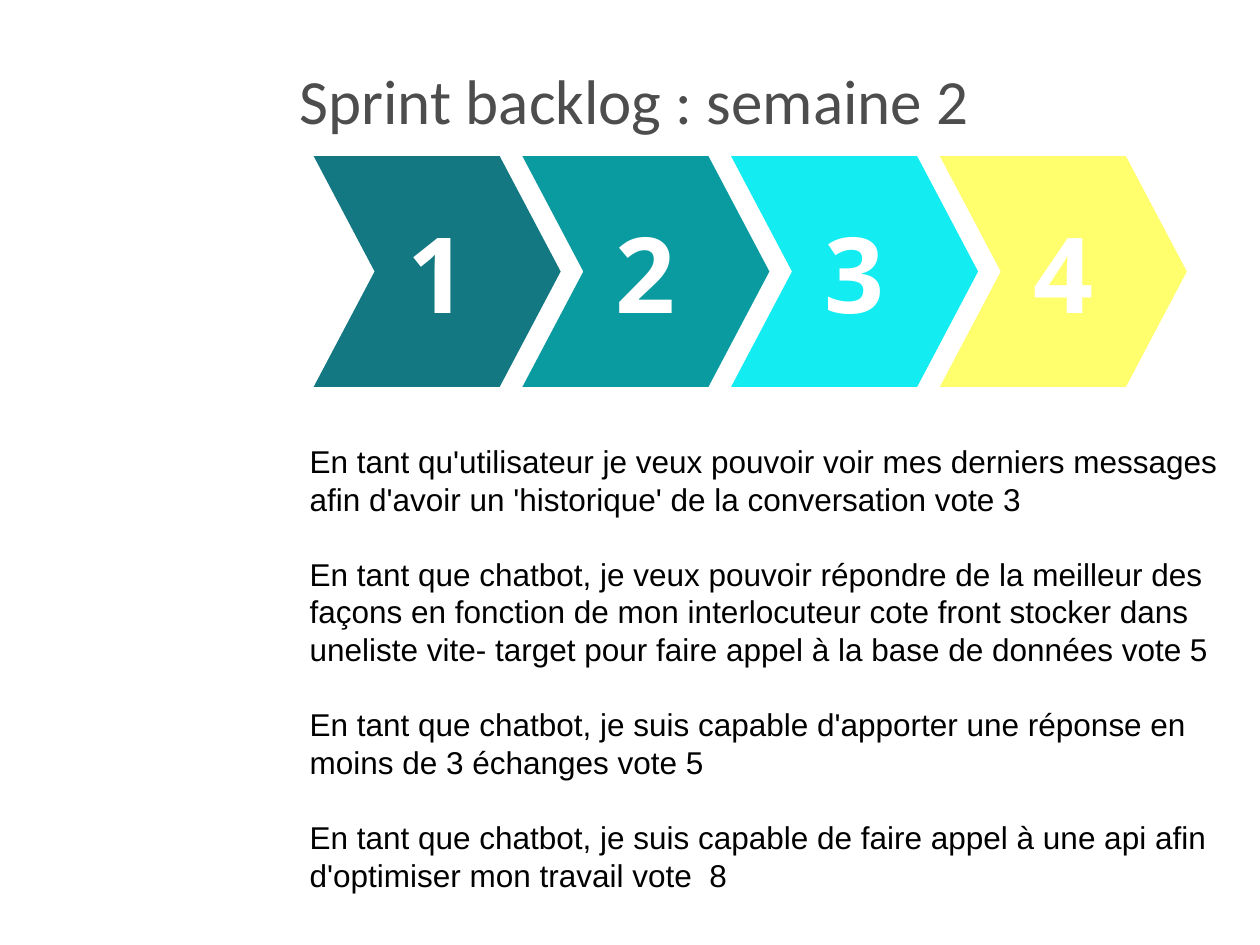
from pptx import Presentation
from pptx.dml.color import RGBColor
from pptx.enum.shapes import MSO_SHAPE as Shape
from pptx.enum.text import MSO_ANCHOR as Anchor, PP_ALIGN as Align
from pptx.util import Inches, Pt

STEP_COLORS = ["147882", "099B9F", "13ECF1", "FFFF6D"]
STORIES = [
    "En tant qu'utilisateur je veux pouvoir voir mes derniers messages afin d'avoir "
    "un 'historique' de la conversation vote 3",
    "En tant que chatbot, je veux pouvoir répondre de la meilleur des façons en fonction "
    "de mon interlocuteur cote front stocker dans uneliste vite- target pour faire appel "
    "à la base de données vote 5",
    "En tant que chatbot, je suis capable d'apporter une réponse en moins de 3 échanges vote 5",
    "En tant que chatbot, je suis capable de faire appel à une api afin d'optimiser "
    "mon travail vote  8",
]


def color(value):
    """Turn a hex string into a colour."""
    return RGBColor.from_string(value)


def style(para, name, size, value, bold=False):
    """Set the font of a paragraph."""
    font = para.font
    font.name, font.size, font.bold = name, Pt(size), bold
    font.color.rgb = color(value)


def add_title(page, left, top, width, height):
    """Place the slide title in the given box."""
    frame = page.shapes.add_textbox(
        Inches(left), Inches(top), Inches(width), Inches(height)).text_frame
    frame.word_wrap = True
    frame.vertical_anchor = Anchor.MIDDLE
    frame.text = "Sprint backlog : semaine 2"
    style(frame.paragraphs[0], "Calibri", 36, "4D4D4D")


def add_steps(page, left, top, width, height):
    """Spread the numbered chevrons evenly over the given box."""
    chevron_width = 1.96
    pitch = (width - chevron_width) / (len(STEP_COLORS) - 1)
    for index, fill in enumerate(STEP_COLORS):
        chevron = page.shapes.add_shape(
            Shape.CHEVRON, Inches(left + index * pitch), Inches(top),
            Inches(chevron_width), Inches(height))
        chevron.adjustments[0] = 0.264
        chevron.shadow.inherit = False
        chevron.fill.solid()
        chevron.fill.fore_color.rgb = color(fill)
        chevron.line.fill.background()
        frame = chevron.text_frame
        frame.vertical_anchor = Anchor.MIDDLE
        frame.text = str(index + 1)
        para = frame.paragraphs[0]
        para.alignment = Align.CENTER
        style(para, "Open Sans", 60, "FFFFFF", bold=True)


def add_stories(page, left, top, width, height):
    """Write the user stories in the given box, one line apart."""
    frame = page.shapes.add_textbox(
        Inches(left), Inches(top), Inches(width), Inches(height)).text_frame
    frame.word_wrap = True
    frame.text = "\n".join(STORIES)
    for index, para in enumerate(frame.paragraphs):
        para.line_spacing = Pt(21.5)
        para.space_before = Pt(21.5 if index else 0)
        style(para, "Arial", 18, "000000")


def main():
    """Build the slide and save it."""
    deck = Presentation()
    deck.slide_width, deck.slide_height = Inches(10), Inches(7.5)
    page = deck.slides.add_slide(deck.slide_layouts[6])
    add_title(page, 2.28, 0.4, 7.16, 0.78)
    add_steps(page, 2.49, 1.24, 6.93, 1.83)
    add_stories(page, 2.36, 3.46, 7.8, 2.99)
    deck.save("out.pptx")


if __name__ == "__main__":
    main()
